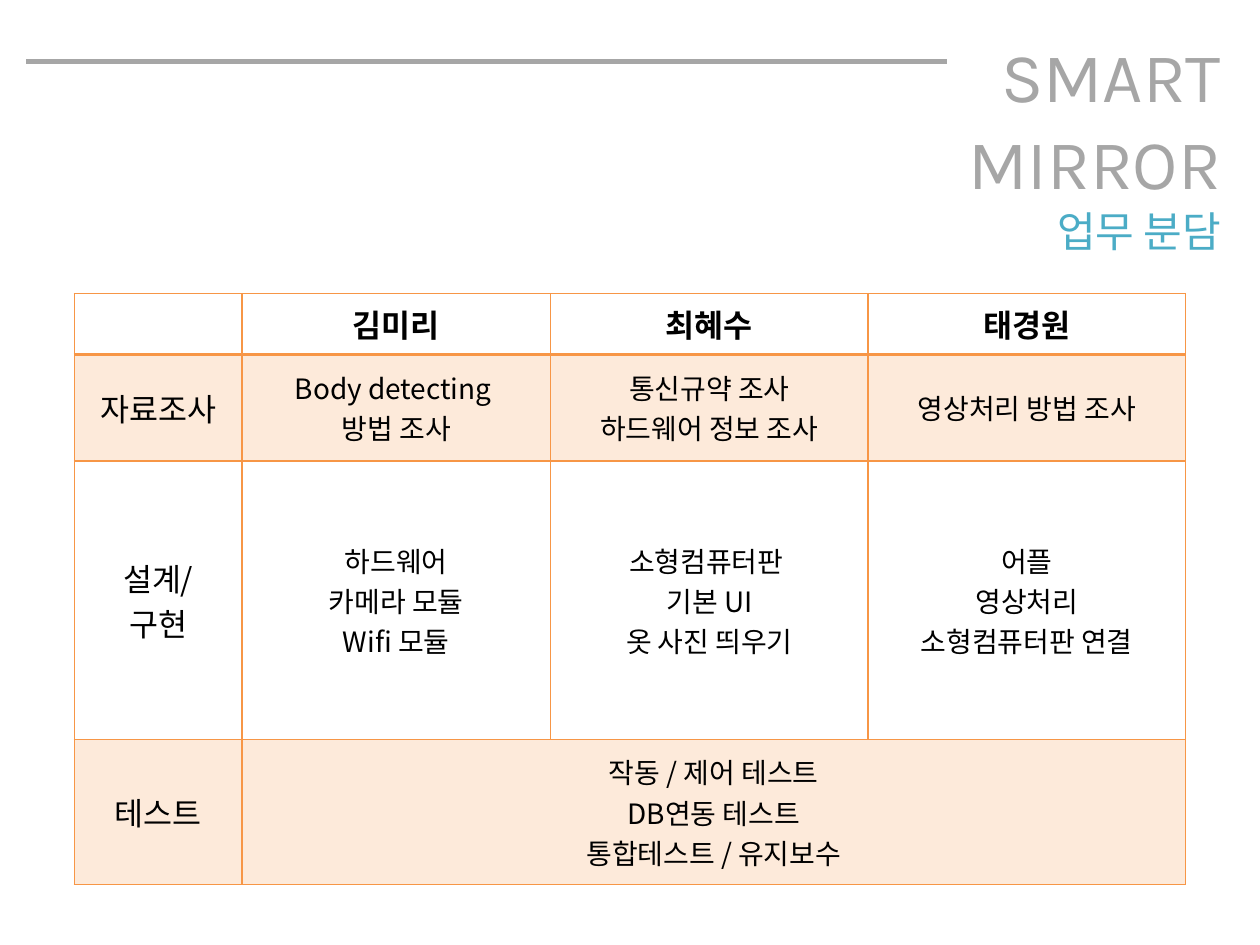
from dataclasses import dataclass

from lxml.etree import SubElement
from pptx import Presentation
from pptx.dml.color import RGBColor as RGB
from pptx.enum.shapes import MSO_CONNECTOR as Link
from pptx.enum.text import MSO_ANCHOR as Anchor, MSO_AUTO_SIZE as Fit, PP_ALIGN as Align
from pptx.oxml.ns import qn
from pptx.util import Inches, Pt


@dataclass(frozen=True)
class Theme:
    gray: str = "A6A6A6"
    teal: str = "4BACC6"
    edge: str = "F79646"
    band: str = "FDEADA"
    ink: str = "000000"
    latin: str = "Karla"
    hangul: str = "Noto Sans CJK KR"
    title: int = 40
    sub: int = 24
    head: int = 18
    cell: int = 16


theme = Theme()


def write(frame, lines, size, color, face, align, bold=False):
    for i, line in enumerate(lines):
        para = frame.paragraphs[0] if i == 0 else frame.add_paragraph()
        para.alignment = align
        para.space_before = Pt(0)
        run = para.add_run()
        run.text = line
        font = run.font
        font.size, font.bold, font.name = Pt(size), bold, face
        font.color.rgb = RGB.from_string(color)
        SubElement(font._element, qn("a:ea"), typeface=theme.hangul)


def border(cell, widths):
    props = cell._tc.get_or_add_tcPr()
    for i, (side, width) in enumerate(widths.items()):
        line = props.makeelement(qn(f"a:{side}"), {"w": str(Pt(width))})
        fill = SubElement(line, qn("a:solidFill"))
        SubElement(fill, qn("a:srgbClr"), val=theme.edge)
        props.insert(i, line)


deck = Presentation()
deck.slide_width, deck.slide_height = Inches(10), Inches(7.5)
slide = deck.slides.add_slide(deck.slide_layouts[5])
shapes = slide.shapes

# Title and subtitle, flush right
title = shapes.title
title.left, title.top = Inches(7.1), Inches(0.19)
title.width, title.height = Inches(2.69), Inches(1.45)
sub = shapes.add_textbox(Inches(7.1), Inches(1.58), Inches(2.69), Inches(0.5))
for box in (title, sub):
    frame = box.text_frame
    frame.word_wrap = True
    frame.auto_size = Fit.NONE
    frame.vertical_anchor = Anchor.TOP
write(title.text_frame, ["SMART", "MIRROR"], theme.title, theme.gray, theme.latin, Align.RIGHT)
for para in title.text_frame.paragraphs:
    para.line_spacing = 1.03
write(sub.text_frame, ["업무 분담"], theme.sub, theme.teal, theme.hangul, Align.RIGHT)

# Rule beside the title
rule = shapes.add_connector(Link.STRAIGHT, Inches(0.21), Inches(0.49), Inches(7.52), Inches(0.49))
rule.line.color.rgb = RGB.from_string(theme.gray)
rule.line.width = Pt(3)
SubElement(rule._element.spPr, qn("a:effectLst"))

# Task table: one list of lines per cell
tasks = [
    [[], ["김미리"], ["최혜수"], ["태경원"]],
    [["자료조사"], ["Body detecting ", "방법 조사"],
     ["통신규약 조사", "하드웨어 정보 조사"], ["영상처리 방법 조사"]],
    [["설계/", "구현"], ["하드웨어", "카메라 모듈", "Wifi 모듈"],
     ["소형컴퓨터판 ", "기본 UI", "옷 사진 띄우기"],
     ["어플", "영상처리", "소형컴퓨터판 연결"]],
    [["테스트"], ["작동 / 제어 테스트", "DB연동 테스트", "통합테스트 / 유지보수"], [], []],
]
wide = [1.33, 2.45, 2.52, 2.52]
tall = [0.48, 0.85, 2.21, 1.15]
grid = shapes.add_table(len(tall), len(wide), Inches(0.59), Inches(2.33),
                        Inches(sum(wide)), Inches(sum(tall))).table
for col, width in zip(grid.columns, wide):
    col.width = Inches(width)
for row, height in zip(grid.rows, tall):
    row.height = Inches(height)
grid.cell(3, 1).merge(grid.cell(3, 3))

for r, row in enumerate(tasks):
    for c, lines in enumerate(row):
        cell = grid.cell(r, c)
        cell.vertical_anchor = Anchor.MIDDLE
        if r % 2:
            cell.fill.solid()
            cell.fill.fore_color.rgb = RGB.from_string(theme.band)
        else:
            cell.fill.background()
        # The header is set off by a heavier line
        border(cell, {"lnL": 1, "lnR": 1, "lnT": 2 if r == 1 else 1, "lnB": 2 if r == 0 else 1})
        size = theme.head if r == 0 or c == 0 else theme.cell
        write(cell.text_frame, lines, size, theme.ink, theme.hangul, Align.CENTER, r == 0)

deck.save("out.pptx")
